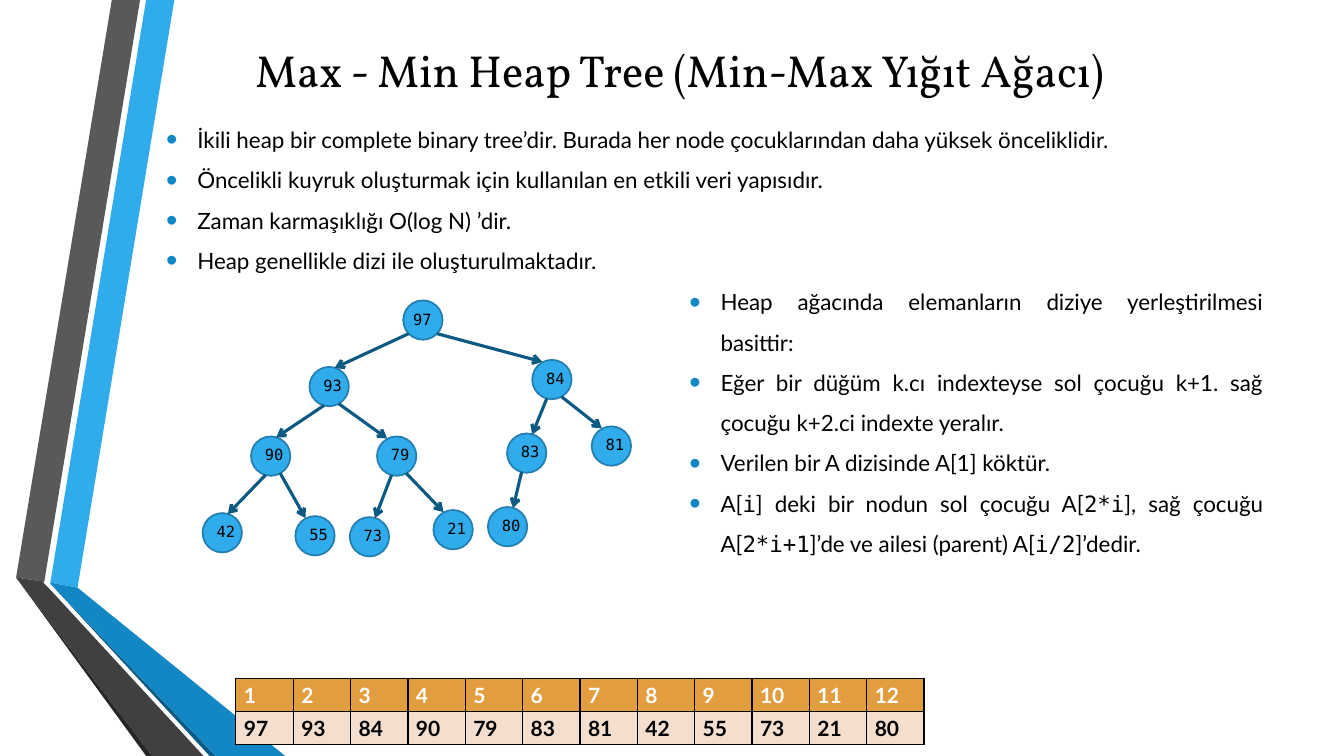
from lxml import etree
from pptx import Presentation
from pptx.dml.color import RGBColor
from pptx.enum.shapes import MSO_CONNECTOR, MSO_SHAPE
from pptx.enum.text import MSO_ANCHOR, PP_ALIGN
from pptx.oxml.ns import qn
from pptx.util import Inches, Pt

LEFT, CENTER, JUSTIFY = PP_ALIGN.LEFT, PP_ALIGN.CENTER, PP_ALIGN.JUSTIFY
TOP, MIDDLE = MSO_ANCHOR.TOP, MSO_ANCHOR.MIDDLE
OVAL, STRAIGHT = MSO_SHAPE.OVAL, MSO_CONNECTOR.STRAIGHT

THEME = dict(
    title="Vollkorn", body="Lato", mono="DejaVu Sans Mono",
    title_size=32, body_size=16, node_size=11, table_size=15,
    black="000000", white="FFFFFF", node="30ACEC", node_line="247FAF",
    edge="0C5A82", bullet="1287C3", head="E29D3E", row="F4DFCE",
)


# The grid has 10 columns and 10 rows to the inch
def g(n):
    return Inches(n / 10)


def write(tf, text, font="body", size="body_size", color="black", bold=False,
          align=LEFT, anchor=TOP, bullets=False):
    """One paragraph per line; text between backticks is monospaced."""
    tf.word_wrap = True
    tf.vertical_anchor = anchor
    for i, line in enumerate(text.split("\n")):
        p = tf.paragraphs[0] if i == 0 else tf.add_paragraph()
        p.alignment = align
        for j, part in enumerate(line.split("`")):
            r = p.add_run()
            r.text = part
            r.font.name = THEME["mono" if j % 2 else font]
            r.font.size = Pt(THEME[size])
            r.font.bold = bold
            r.font.color.rgb = RGBColor.from_string(THEME[color])
        if bullets:
            p.line_spacing = 1.5
            pPr = p._p.get_or_add_pPr()
            pPr.set("marL", str(g(3.1)))
            pPr.set("indent", str(-g(3.1)))
            clr = etree.SubElement(pPr, qn("a:buClr"))
            etree.SubElement(clr, qn("a:srgbClr"), val=THEME["bullet"])
            etree.SubElement(pPr, qn("a:buSzPct"), val="145000")
            etree.SubElement(pPr, qn("a:buFont"), typeface="Arial")
            etree.SubElement(pPr, qn("a:buChar"), char="•")


prs = Presentation()
prs.slide_width, prs.slide_height = g(133.33), g(75)
s = prs.slides.add_slide(prs.slide_layouts[6])

# Folded ribbons on the left
RIBBONS = [
    ("30ACEC", [(5, 57.8), (7.7, 58.3), (17.3, 0), (14.5, 0)]),
    ("595959", [(13.9, 0), (11.1, 0), (1.6, 57.3), (4.4, 57.7)]),
    ("262626", [(1.6, 57.3), (14.5, 75), (15.1, 75)]),
    ("0C5A82", [(5, 57.9), (20.8, 75), (21.4, 75)]),
    ("1287C3", [(5, 57.9), (21.4, 75), (28.3, 75), (7.7, 58.3), (5, 57.8)]),
    ("404040", [(20.2, 75), (4.8, 58.3), (4.3, 57.8), (4.4, 57.7),
                (1.6, 57.3), (15.1, 75)]),
]
for color, points in RIBBONS:
    start, *rest = [(g(x), g(y)) for x, y in points]
    fb = s.shapes.build_freeform(*start)
    fb.add_line_segments(rest, close=True)
    sp = fb.convert_to_shape()
    sp.shadow.inherit = False
    sp.fill.solid()
    sp.fill.fore_color.rgb = RGBColor.from_string(color)
    sp.line.fill.background()

# Title and bullet lists
sp = s.shapes.add_textbox(g(15.5), g(1.7), g(103.9), g(10.4))
write(sp.text_frame, "Max - Min Heap Tree (Min-Max Yığıt Ağacı)", font="title",
      size="title_size", align=CENTER, anchor=MIDDLE)

INTRO = """İkili heap bir complete binary tree’dir. Burada her node çocuklarından daha yüksek önceliklidir.
Öncelikli kuyruk oluşturmak için kullanılan en etkili veri yapısıdır.
Zaman karmaşıklığı O(log N) ’dir.
Heap genellikle dizi ile oluşturulmaktadır."""
RULES = """Heap ağacında elemanların diziye yerleştirilmesi basittir:
Eğer bir düğüm k.cı indexteyse sol çocuğu k+1. sağ çocuğu k+2.ci indexte yeralır.
Verilen bir A dizisinde A[1] köktür.
A[`i`] deki bir nodun sol çocuğu A[`2*i`], sağ çocuğu A[`2*i+1`]’de ve ailesi (parent) A[`i/2`]’dedir."""
for text, box in [(INTRO, (15.5, 10.7, 103.9, 17.7)),
                  (RULES, (67.4, 26.8, 58.9, 33.7))]:
    sp = s.shapes.add_textbox(*map(g, box))
    write(sp.text_frame, text, align=JUSTIFY, bullets=True)

# Heap in array order, with the centre of each node
HEAP = [
    (97, 41.95, 31.75),
    (93, 32.65, 38.35), (84, 54.75, 37.65),
    (90, 26.85, 45.25), (79, 39.35, 45.25), (83, 52.25, 44.95), (81, 60.65, 44.25),
    (42, 22.05, 52.85), (55, 31.25, 53.15), (73, 36.65, 53.25), (21, 44.95, 52.55),
    (80, 50.35, 52.25),
]
NODE = 3.9

# Nodes
for k, (value, x, y) in enumerate(HEAP, 1):
    left, top = x - NODE / 2, y - NODE / 2
    sp = s.shapes.add_shape(OVAL, g(left), g(top), g(NODE), g(NODE))
    sp.shadow.inherit = False
    sp.fill.solid()
    sp.fill.fore_color.rgb = RGBColor.from_string(THEME["node"])
    sp.line.color.rgb = RGBColor.from_string(THEME["node_line"])
    sp.line.width = Pt(1.25)
    dx, dy = (0, 0.5) if k == 1 else (0.4, 0.4)
    sp = s.shapes.add_textbox(g(left + dx), g(top + dy), g(4), g(2.9))
    write(sp.text_frame, str(value), font="mono", size="node_size")

# Arrows: the parent of item k is item k // 2, even items are left children
for k, (_, x, y) in enumerate(HEAP[1:], 2):
    _, px, py = HEAP[k // 2 - 1]
    is_left = k % 2 == 0
    out_x, out_y = (-0.5, 1.87) if is_left else (0.95, 1.7)
    if k // 2 == 1:
        out_x, out_y = (-1.4 if is_left else 1.4), 1.35
    in_x, in_y = (0.55, -1.85) if is_left else (-0.95, -1.75)
    c = s.shapes.add_connector(STRAIGHT, g(px + out_x), g(py + out_y),
                               g(x + in_x), g(y + in_y))
    c.line.color.rgb = RGBColor.from_string(THEME["edge"])
    c.line.width = Pt(2.25)
    etree.SubElement(c.line._get_or_add_ln(), qn("a:tailEnd"), type="arrow")
    etree.SubElement(c._element.spPr, qn("a:effectLst"))

# Array table: index above value
n = len(HEAP)
table = s.shapes.add_table(2, n, g(23.4), g(67.3), g(68.3), g(6.6)).table
for row, height in zip(table.rows, (3.2, 3.3)):
    row.height = g(height)
for k, (value, _, _) in enumerate(HEAP):
    table.columns[k].width = g(68.3 / n)
    for i, (text, fill, color) in enumerate([(k + 1, "head", "white"),
                                             (value, "row", "black")]):
        cell = table.cell(i, k)
        cell.margin_left = cell.margin_right = g(0.8)
        cell.margin_top = cell.margin_bottom = g(0.4)
        write(cell.text_frame, str(text), size="table_size", color=color, bold=True)
        tcPr = cell._tc.get_or_add_tcPr()
        for side in ("a:lnL", "a:lnR", "a:lnT", "a:lnB"):
            ln = etree.SubElement(tcPr, qn(side), w=str(Pt(1)))
            solid = etree.SubElement(ln, qn("a:solidFill"))
            etree.SubElement(solid, qn("a:srgbClr"), val=THEME["black"])
        cell.fill.solid()
        cell.fill.fore_color.rgb = RGBColor.from_string(THEME[fill])

prs.save("out.pptx")
